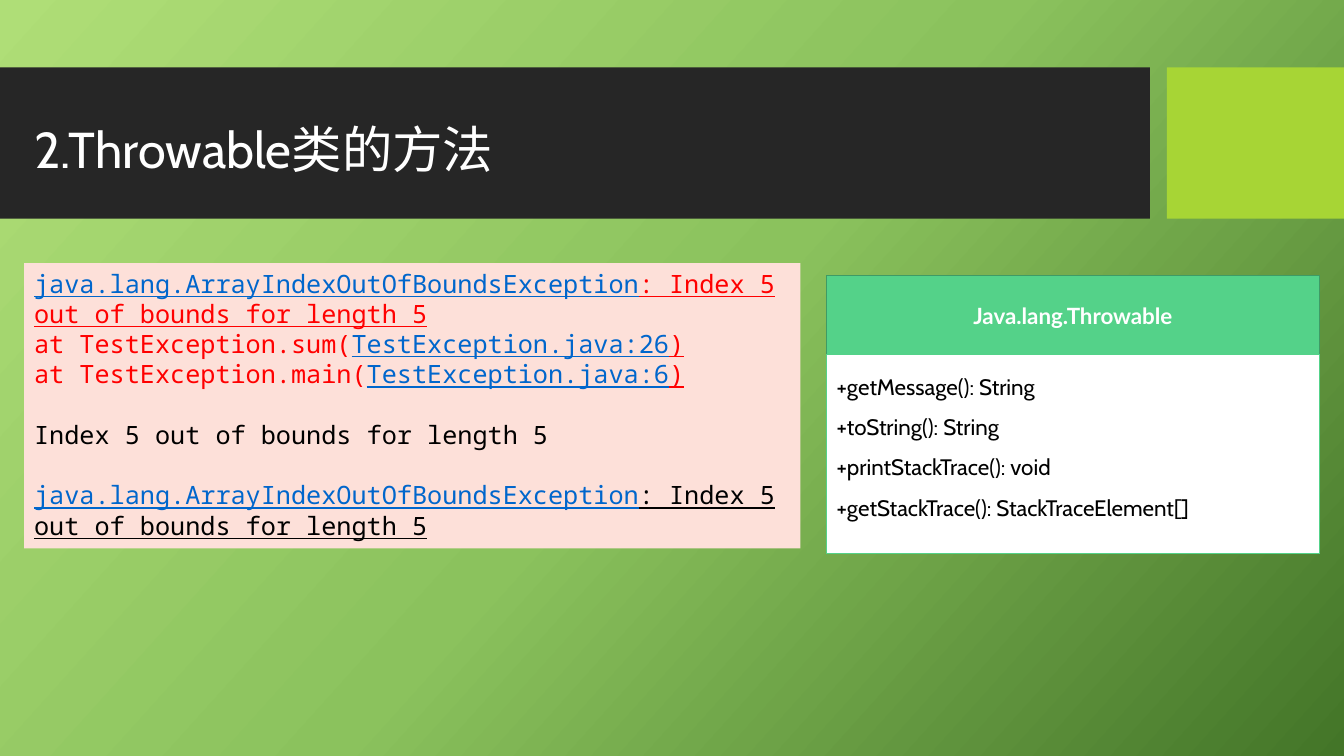
import copy
from dataclasses import dataclass

import pptx
import pptx.dml.color
import pptx.enum.shapes
import pptx.enum.text
import pptx.util
from lxml import etree

Cm = pptx.util.Cm
Pt = pptx.util.Pt
RGB = pptx.dml.color.RGBColor
Align = pptx.enum.text.PP_ALIGN
Anchor = pptx.enum.text.MSO_ANCHOR

DARK = RGB(0x26, 0x26, 0x26)
LIME = RGB(0xA7, 0xD5, 0x35)
PINK = RGB(0xFD, 0xE0, 0xD9)
MINT = RGB(0x54, 0xD2, 0x89)
PINE = RGB(0x3E, 0x9B, 0x65)
WHITE = RGB(0xFF, 0xFF, 0xFF)
BLACK = RGB(0, 0, 0)
RED = RGB(0xFF, 0, 0)
BLUE = RGB(0, 0x66, 0xCC)
STOPS = [(0, RGB(0xAF, 0xDE, 0x77)), (0.5, RGB(0x8B, 0xC2, 0x5D)),
         (1, RGB(0x43, 0x75, 0x28))]


@dataclass
class Box:
    left: float
    top: float
    width: float
    height: float
    fill: RGB | None = None
    line: RGB | None = None


@dataclass
class Run:
    text: str
    color: RGB
    under: bool = False


@dataclass
class Style:
    font: str
    size: float
    bold: bool = False
    align: Align = Align.LEFT
    anchor: Anchor = Anchor.TOP
    space: float = 1


@dataclass
class Para:
    runs: list[Run]
    before: float = 0


BANDS = [Box(0, 1.7, 28.98, 3.81, DARK), Box(29.41, 1.7, 4.46, 3.81, LIME)]
TITLE = Box(0.61, 2.57, 23.72, 2.54)
TRACE = Box(0.61, 6.63, 19.56, 7.19, PINK)
HEAD = Box(20.83, 6.95, 12.42, 1.98, MINT, PINE)
BODY = Box(20.83, 8.93, 12.42, 5.02, WHITE, MINT)

GAP = 21.6  # one line of the stack trace, in points
ERROR = "java.lang.ArrayIndexOutOfBoundsException"
CAUSE = "Index 5 out of bounds for length 5"
METHODS = ["+getMessage(): String", "+toString(): String",
           "+printStackTrace(): void",
           "+getStackTrace(): StackTraceElement[]"]


def fault(color: RGB, before: float = 0) -> Para:
    """Exception name followed by its cause."""
    return Para([Run(ERROR, BLUE, True), Run(": " + CAUSE, color, True)], before)


def frame(method: str, row: int) -> Para:
    """One call of the stack trace."""
    return Para([Run(f"at TestException.{method}(", RED),
                 Run(f"TestException.java:{row}", BLUE, True),
                 Run(")", RED, True)])


def place(shape, box: Box) -> None:
    shape.left, shape.top = Cm(box.left), Cm(box.top)
    shape.width, shape.height = Cm(box.width), Cm(box.height)
    if box.fill is not None:
        shape.fill.solid()
        shape.fill.fore_color.rgb = box.fill
    if box.line is None:
        shape.line.fill.background()
    else:
        shape.line.color.rgb = box.line
        shape.line.width = Pt(1)


def add_box(slide, box: Box):
    shape = slide.shapes.add_shape(
        pptx.enum.shapes.MSO_SHAPE.RECTANGLE, 0, 0, 0, 0)
    shape.shadow.inherit = False
    place(shape, box)
    return shape


def write(shape, paras: list[Para], style: Style) -> None:
    text = shape.text_frame
    text.word_wrap = True
    text.auto_size = pptx.enum.text.MSO_AUTO_SIZE.NONE
    text.vertical_anchor = style.anchor
    for i, para in enumerate(paras):
        item = text.paragraphs[0] if i == 0 else text.add_paragraph()
        item.alignment = style.align
        item.line_spacing = style.space
        item.space_before = Pt(para.before)
        item.space_after = Pt(0)
        for part in para.runs:
            run = item.add_run()
            run.text = part.text
            font = run.font
            font.name, font.size = style.font, Pt(style.size)
            font.bold, font.underline = style.bold, part.under
            font.color.rgb = part.color


def drop_bullets(shape) -> None:
    for item in shape.text_frame.paragraphs:
        props = item._p.get_or_add_pPr()
        props.set("marL", "0")
        props.set("indent", "0")
        etree.SubElement(props, pptx.oxml.ns.qn("a:buNone"))


def paint(slide) -> None:
    """Fill the background with the three-stop gradient."""
    fill = slide.background.fill
    fill.gradient()
    fill.gradient_angle = 360 - 42
    stops = slide.element.xpath(".//a:gsLst")[0]
    stops.append(copy.deepcopy(stops[0]))
    for stop, (spot, color) in zip(fill.gradient_stops, STOPS):
        stop.position = spot
        stop.color.rgb = color


def main() -> None:
    deck = pptx.Presentation()
    deck.slide_width, deck.slide_height = Cm(33.87), Cm(19.05)
    slide = deck.slides.add_slide(deck.slide_layouts[1])
    paint(slide)
    title, body = slide.placeholders

    for band in BANDS:
        add_box(slide, band)
    # Lift the title above the bands
    slide.shapes._spTree.append(title._element)
    place(title, TITLE)
    write(title, [Para([Run("2.Throwable类的方法", WHITE)])],
          Style("Cabin", 36, anchor=Anchor.MIDDLE, space=0.9))

    trace = [fault(RED), frame("sum", 26), frame("main", 6),
             Para([Run(CAUSE, BLACK)], GAP), fault(BLACK, GAP)]
    write(add_box(slide, TRACE), trace, Style("Noto Sans Mono", 18))

    write(add_box(slide, HEAD), [Para([Run("Java.lang.Throwable", WHITE)])],
          Style("Lato", 16, True, Align.CENTER, Anchor.MIDDLE))
    slide.shapes._spTree.append(body._element)
    place(body, BODY)
    write(body, [Para([Run(name, BLACK)]) for name in METHODS],
          Style("Cabin", 16, space=1.5))
    drop_bullets(body)
    deck.save("out.pptx")


if __name__ == "__main__":
    main()
